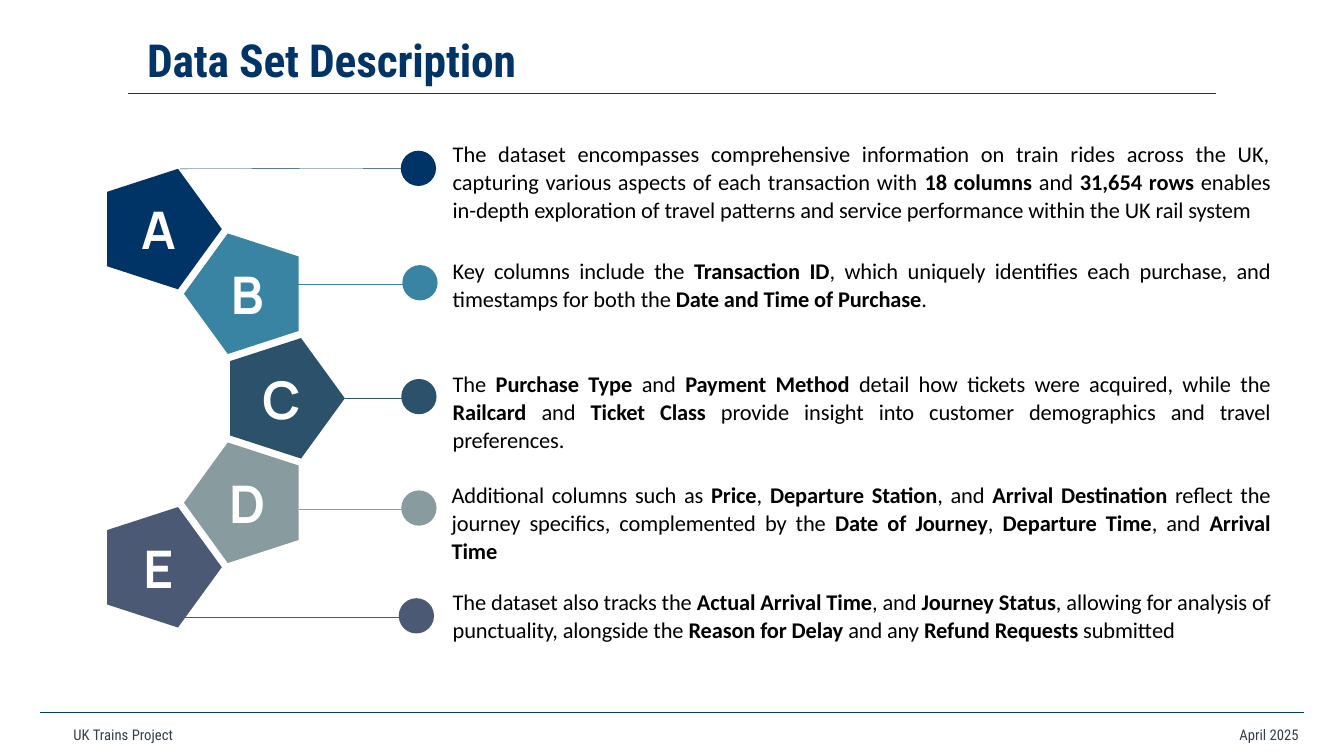
from math import cos, radians, sin

from lxml.etree import SubElement
from pptx import Presentation
from pptx.dml.color import RGBColor
from pptx.enum.shapes import MSO_CONNECTOR, MSO_SHAPE
from pptx.enum.text import MSO_ANCHOR, MSO_AUTO_SIZE, PP_ALIGN
from pptx.oxml.ns import qn
from pptx.util import Pt

NAVY = RGBColor(0x00, 0x33, 0x66)
TEAL = RGBColor(0x39, 0x84, 0xA3)
PETROL = RGBColor(0x2B, 0x52, 0x6A)
SAGE = RGBColor(0x88, 0x9B, 0x9E)
SLATE = RGBColor(0x4C, 0x59, 0x74)
RULE = RGBColor(0x01, 0x41, 0x5B)
GREY = RGBColor(0x36, 0x3E, 0x48)
WHITE = RGBColor(0xFF, 0xFF, 0xFF)
BLACK = RGBColor(0x00, 0x00, 0x00)

TITLE = "Data Set Description"
FOOTERS = [("UK Trains Project", 97.9, PP_ALIGN.LEFT), ("April 2025", 1691.3, PP_ALIGN.RIGHT)]
RULES = [(182.9, 1736.6, 133.9), (57.6, 1861.9, 1018.1)]

ITEMS = [
    dict(letter="A", color=NAVY, center=(226.3, 327.2), facing=1, dot=(572.4, 215.3),
         lead=(257, 241.2, 572.4, 240.5), weight=0.5, text_at=(639.4, 194.4), lines=3, tight_from=4,
         text="The dataset encompasses comprehensive information on train rides across the UK, "
              "capturing various aspects of each transaction with **18 columns **and **31,654 rows **"
              "enables in-depth exploration of travel patterns and service performance within "
              "the UK rail system"),
    dict(letter="B", color=TEAL, center=(353.3, 419.6), facing=-1, dot=(574.6, 378.7),
         lead=(424.8, 405.4, 601.9, 405.4), weight=0.5, text_at=(639.4, 362.9), lines=2, tight_from=0,
         text="Key columns include the **Transaction ID**, which uniquely identifies each purchase, "
              "and timestamps for both the **Date and Time of Purchase**."),
    dict(letter="C", color=PETROL, center=(402, 569), facing=1, dot=(573.1, 541.4),
         lead=(492.5, 568.8, 594, 568.8), weight=1, text_at=(639.4, 523.4), lines=3, tight_from=0,
         text="The **Purchase Type **and **Payment Method** detail how tickets were acquired, "
              "while the **Railcard** and **Ticket Class **provide insight into customer "
              "demographics and travel preferences."),
    dict(letter="D", color=SAGE, center=(353.3, 718.2), facing=-1, dot=(573.1, 700.6),
         lead=(594, 727.2, 427, 727.2), weight=0.5, text_at=(637.9, 681.8), lines=3, tight_from=0,
         text="Additional columns such as **Price**, **Departure Station**, and "
              "**Arrival Destination **reflect the journey specifics, complemented by the "
              "**Date of Journey**, **Departure Time**, and **Arrival Time**"),
    dict(letter="E", color=SLATE, center=(226.3, 810.4), facing=1, dot=(569.5, 854.6),
         lead=(254.2, 821.5, 594, 881.3), weight=0.5, text_at=(639.4, 834.5), lines=2, tight_from=0,
         text="The dataset also tracks the **Actual Arrival Time**, and **Journey Status**, "
              "allowing for analysis of punctuality, alongside the **Reason for Delay **and any "
              "**Refund Requests **submitted"),
]

RADIUS = 90.5
DOT_SIZE = 50.4
LETTER_BOX = (110.9, 97.2)
TEXT_RIGHT = 1821.6
LINE_HEIGHT = 40


def style(font, name, size, color, bold=False):
    font.name, font.size, font.bold = name, Pt(size), bold
    font.color.rgb = color


def track(span, points):
    span.font._element.set("spc", str(round(points * 100)))


def add_box(page, left, top, width, height, align, anchor=MSO_ANCHOR.TOP):
    box = page.shapes.add_textbox(Pt(left), Pt(top), Pt(width), Pt(height))
    frame = box.text_frame
    frame.word_wrap = True
    frame.auto_size = MSO_AUTO_SIZE.SHAPE_TO_FIT_TEXT
    frame.vertical_anchor = anchor
    para = frame.paragraphs[0]
    para.alignment = align
    return box, para


def paint(shape, color):
    shape.shadow.inherit = False
    shape.fill.solid()
    shape.fill.fore_color.rgb = color
    shape.line.fill.background()


def add_line(page, ends, color, weight, kind=MSO_CONNECTOR.STRAIGHT):
    line = page.shapes.add_connector(kind, *[Pt(value) for value in ends])
    line.line.color.rgb = color
    line.line.width = Pt(weight)
    SubElement(line._element.spPr, qn("a:effectLst"))
    return line


def add_pentagon(page, item):
    x, y = item["center"]
    corners = [(Pt(x + item["facing"] * RADIUS * cos(radians(angle))),
                Pt(y + RADIUS * sin(radians(angle)))) for angle in range(0, 360, 72)]
    builder = page.shapes.build_freeform(*corners[0])
    builder.add_line_segments(corners[1:], close=True)
    paint(builder.convert_to_shape(), item["color"])


def add_lead(page, item):
    bent = item["lead"][1] + DOT_SIZE < item["lead"][3]
    kind = MSO_CONNECTOR.ELBOW if bent else MSO_CONNECTOR.STRAIGHT
    line = add_line(page, item["lead"], item["color"], item["weight"], kind)
    if bent:
        guides = line._element.spPr.find(qn("a:prstGeom")).find(qn("a:avLst"))
        SubElement(guides, qn("a:gd"), name="adj1", fmla="val 100")


def add_letter(page, item):
    x, y = item["center"]
    width, height = LETTER_BOX
    box, para = add_box(page, x - width / 2, y - height / 2, width, height,
                        PP_ALIGN.CENTER, MSO_ANCHOR.MIDDLE)
    span = para.add_run()
    span.text = item["letter"]
    style(para.font, "Manrope", 74, WHITE, True)
    track(span, -2.9)


def add_description(page, item):
    left, top = item["text_at"]
    box, para = add_box(page, left, top, TEXT_RIGHT - left,
                        item["lines"] * LINE_HEIGHT + 7.2, PP_ALIGN.JUSTIFY)
    para.line_spacing = Pt(LINE_HEIGHT)
    for index, part in enumerate(item["text"].split("**")):
        if part:
            span = para.add_run()
            span.text = part
            style(span.font, "Calibri", 32, BLACK, index % 2 == 1)
            if index >= item["tight_from"]:
                track(span, -0.2)


def add_title(page):
    title = page.shapes.title
    title.left, title.top, title.width, title.height = Pt(195.8), Pt(44.6), Pt(1111.7), Pt(90.7)
    frame = title.text_frame
    frame.auto_size = MSO_AUTO_SIZE.NONE
    frame.vertical_anchor = MSO_ANCHOR.MIDDLE
    frame.margin_left = frame.margin_right = Pt(14.4)
    frame.margin_top = frame.margin_bottom = Pt(7.2)
    para = frame.paragraphs[0]
    para.alignment = PP_ALIGN.LEFT
    para.line_spacing = 0.9
    span = para.add_run()
    span.text = TITLE
    style(para.font, "Roboto Condensed", 65, NAVY, True)
    track(span, -0.3)


def main():
    deck = Presentation()
    deck.slide_width, deck.slide_height = Pt(1919.52), Pt(1080)
    page = deck.slides.add_slide(deck.slide_layouts[5])
    add_title(page)
    for start, end, height in RULES:
        add_line(page, (start, height, end, height), RULE, 1.5)
    for text, left, align in FOOTERS:
        box, para = add_box(page, left, 1033.2, 170.6, 32.4, align)
        box.fill.solid()
        box.fill.fore_color.rgb = WHITE
        para.text = text
        style(para.font, "Roboto Condensed", 21, GREY)
    for item in ITEMS:
        add_pentagon(page, item)
        left, top = item["dot"]
        dot = page.shapes.add_shape(MSO_SHAPE.OVAL, Pt(left), Pt(top), Pt(DOT_SIZE), Pt(DOT_SIZE))
        paint(dot, item["color"])
        add_lead(page, item)
        add_letter(page, item)
        add_description(page, item)
    deck.save("out.pptx")


if __name__ == "__main__":
    main()
